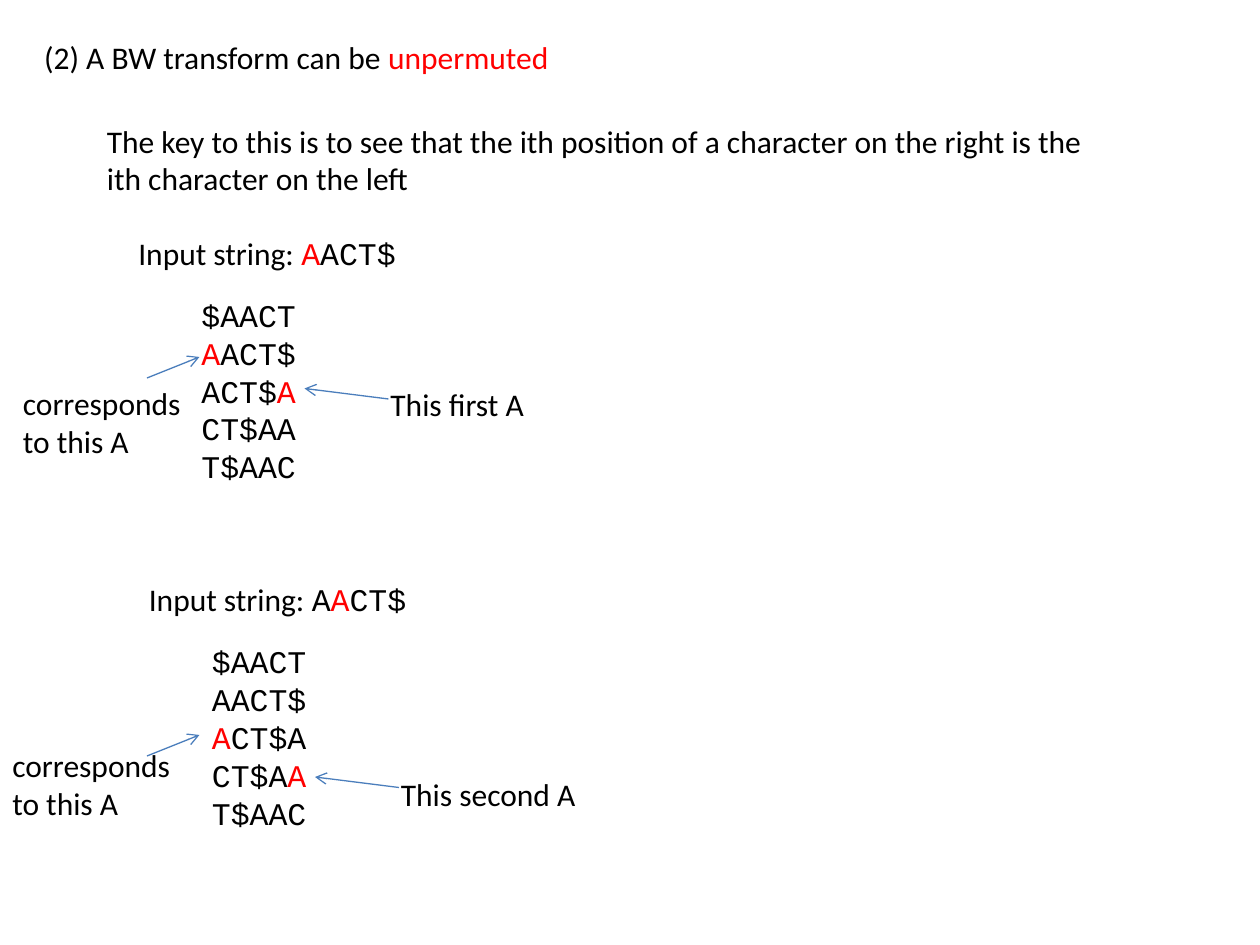
from dataclasses import dataclass
from itertools import groupby
from typing import NamedTuple

from lxml import etree
from pptx import Presentation
from pptx.dml.color import RGBColor
from pptx.enum.shapes import MSO_CONNECTOR
from pptx.enum.text import MSO_ANCHOR, MSO_AUTO_SIZE, PP_ALIGN
from pptx.oxml.ns import qn
from pptx.util import Inches, Pt

LINE = MSO_CONNECTOR.STRAIGHT
TOP = MSO_ANCHOR.TOP
LEFT = PP_ALIGN.LEFT
FIT = MSO_AUTO_SIZE.SHAPE_TO_FIT_TEXT

WIDE, HIGH = 10, 7.5
COLS, ROWS = 120, 90
WORD = "AACT$"


@dataclass(frozen=True)
class Theme:
    ink: str = "000000"
    red: str = "FF0000"
    line: str = "4B7EBC"
    sans: str = "Calibri"
    mono: str = "Courier New"
    size: float = 18
    thin: float = 0.75


class Run(NamedTuple):
    text: str
    hot: bool = False
    mono: bool = False


class Box(NamedTuple):
    """Left, top, width and height in grid columns and rows."""
    x: float
    y: float
    w: float
    h: float


class Arrow(NamedTuple):
    """Start and end in grid columns and rows."""
    x1: float
    y1: float
    x2: float
    y2: float


@dataclass(frozen=True)
class Panel:
    mark: int  # index of the traced letter in WORD
    label: str
    head: Box
    grid: Box
    right: Box
    left: Box
    arrows: tuple[Arrow, ...]


THEME = Theme()
PANELS = (
    Panel(0, "This first A", Box(12, 21.7, 27.1, 4.8), Box(18, 27.6, 60, 19.4),
          Box(36, 36.1, 15.2, 4.8), Box(1, 36, 18, 8.5),
          (Arrow(37, 38, 29, 37), Arrow(14, 36, 19, 34))),
    Panel(1, "This second A", Box(13, 54.7, 27.1, 4.8), Box(19, 60.6, 60, 19.4),
          Box(37, 73.2, 19.2, 4.8), Box(0, 70.5, 18, 8.5),
          (Arrow(38, 75, 30, 74), Arrow(14, 72, 19, 70))),
)


def col(n: float) -> int:
    return Inches(WIDE * n / COLS)


def row(n: float) -> int:
    return Inches(HIGH * n / ROWS)


def write(slide, box: Box, lines: list[list[Run]], *, wrap: bool = False,
          shape=None) -> None:
    """Fill the given placeholder, or a new text box, with lines of runs."""
    place = col(box.x), row(box.y), col(box.w), row(box.h)
    if shape is None:
        shape = slide.shapes.add_textbox(*place)
    else:
        shape.left, shape.top, shape.width, shape.height = place
    frame = shape.text_frame
    frame.word_wrap = wrap
    frame.auto_size = FIT
    frame.vertical_anchor = TOP
    for i, line in enumerate(lines):
        para = frame.add_paragraph() if i else frame.paragraphs[0]
        para.alignment = LEFT
        for part in line:
            run = para.add_run()
            run.text = part.text
            font = run.font
            font.size = Pt(THEME.size)
            font.name = THEME.mono if part.mono else THEME.sans
            tone = THEME.red if part.hot else THEME.ink
            font.color.rgb = RGBColor.from_string(tone)


def point(slide, arrow: Arrow) -> None:
    link = slide.shapes.add_connector(LINE, col(arrow.x1), row(arrow.y1),
                                      col(arrow.x2), row(arrow.y2))
    link.line.color.rgb = RGBColor.from_string(THEME.line)
    link.line.width = Pt(THEME.thin)
    etree.SubElement(link.line._get_or_add_ln(), qn("a:tailEnd"), type="arrow")
    etree.SubElement(link._element.spPr, qn("a:effectLst"))


def tint(text: str, spot: int) -> list[Run]:
    """Split text into mono runs, with the letter at spot in red."""
    parts = groupby(range(len(text)), key=lambda i: i == spot)
    return [Run("".join(text[i] for i in group), hot, True)
            for hot, group in parts]


def turns(mark: int) -> list[list[Run]]:
    """Sorted rotations of WORD; the marked letter is red at either end."""
    size = len(WORD)
    lines = []
    for text, start in sorted((WORD[i:] + WORD[:i], i) for i in range(size)):
        spot = (mark - start) % size
        lines.append(tint(text, spot if spot in (0, size - 1) else -1))
    return lines


def draw(slide, panel: Panel) -> None:
    write(slide, panel.grid, turns(panel.mark), wrap=True)
    write(slide, panel.head, [[Run("Input string: "), *tint(WORD, panel.mark)]])
    write(slide, panel.right, [[Run(panel.label)]])
    write(slide, panel.left, [[Run("corresponds")], [Run("to this A")]])
    for arrow in panel.arrows:
        point(slide, arrow)


def main() -> None:
    deck = Presentation()
    deck.slide_width, deck.slide_height = Inches(WIDE), Inches(HIGH)
    slide = deck.slides.add_slide(deck.slide_layouts[5])
    write(slide, Box(3, 3, 87, 4.8),
          [[Run("(2) A BW transform can be "), Run("unpermuted", hot=True)]],
          wrap=True, shape=slide.shapes.title)
    write(slide, Box(9, 11, 97.2, 8.5),
          [[Run("The key to this is to see that the ith position of a "
                "character on the right is the")],
           [Run("ith character on the left")]])
    for panel in PANELS:
        draw(slide, panel)
    deck.save("out.pptx")


if __name__ == "__main__":
    main()
